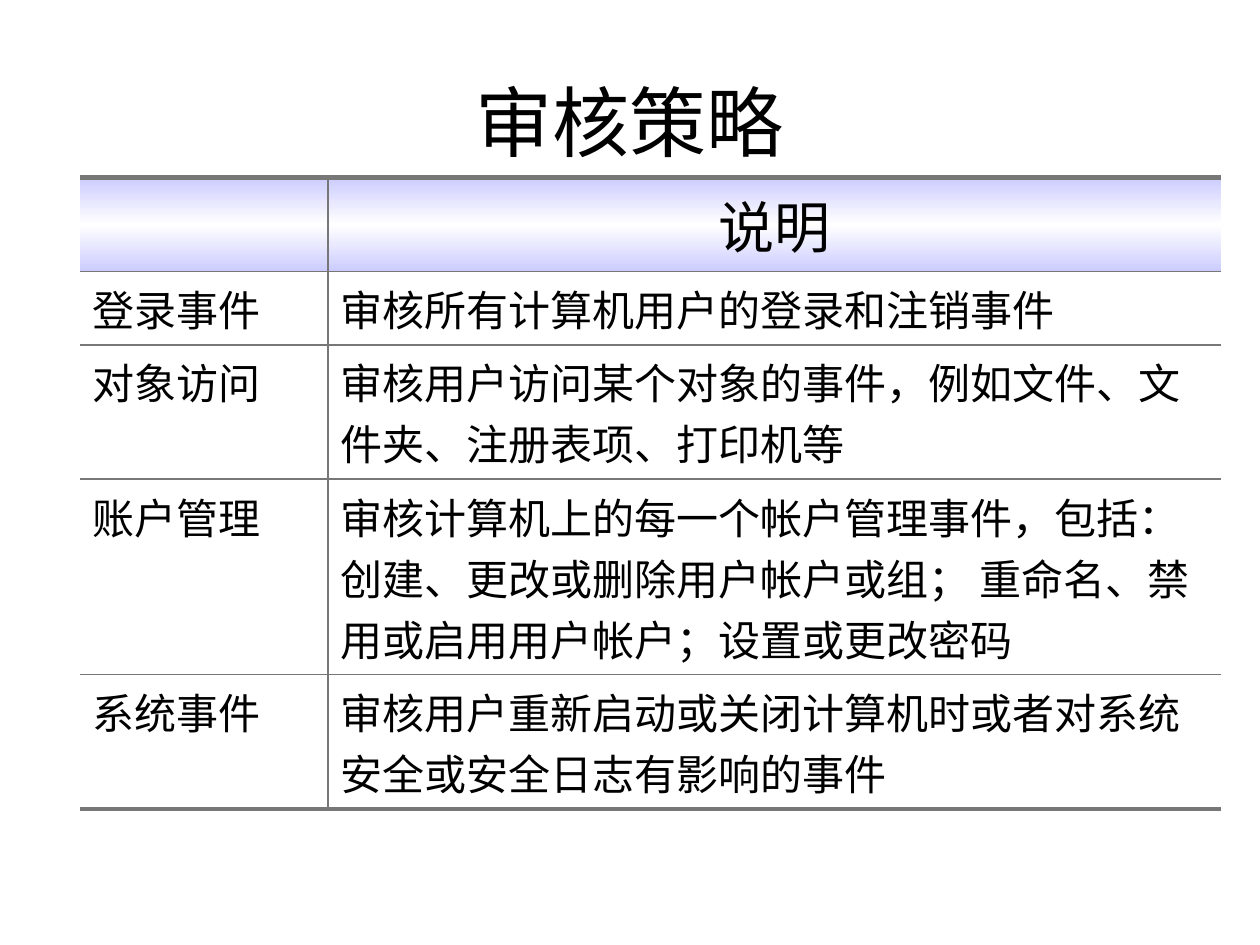
"""Build the audit policy slide: a title above a ruled table."""
from dataclasses import dataclass

from lxml import etree
from pptx import Presentation
from pptx.dml.color import RGBColor
from pptx.enum.text import MSO_ANCHOR, PP_ALIGN
from pptx.oxml.ns import qn
from pptx.util import Cm, Pt

CENTER, LEFT = PP_ALIGN.CENTER, PP_ALIGN.LEFT
MIDDLE = MSO_ANCHOR.MIDDLE
COLORS = {"text": "000000", "rule": "777777", "band": "CCCCFF", "white": "FFFFFF"}
COLUMN_WIDTHS = (5, 18)
HEADER_HEIGHT = 1.89
ROW_PADDING, LINE_HEIGHT = 0.25, 1.23
HANGING = 0.95


@dataclass
class Policy:
    name: str
    description: str
    lines: int = 1

    @property
    def height(self) -> float:
        """Give the row height in centimetres."""
        return ROW_PADDING + LINE_HEIGHT * self.lines


HEADER = Policy("", "说明")
POLICIES = [
    Policy("登录事件", "审核所有计算机用户的登录和注销事件"),
    Policy("对象访问", "审核用户访问某个对象的事件，例如文件、文件夹、注册表项、打印机等", 2),
    Policy("账户管理", "审核计算机上的每一个帐户管理事件，包括：创建、更改或删除用户帐户或组； "
           "重命名、禁用或启用用户帐户；设置或更改密码", 3),
    Policy("系统事件", "审核用户重新启动或关闭计算机时或者对系统安全或安全日志有影响的事件", 2),
]


def write(tf, text: str, *, size: int, font: str = "Arial", align=LEFT,
          hanging: bool = False, before: int = 0) -> None:
    """Write one formatted paragraph; before is a percentage of the line."""
    p = tf.paragraphs[0]
    p.alignment = align
    ppr = p._p.get_or_add_pPr()
    if hanging:
        ppr.set("marL", str(Cm(HANGING)))
        ppr.set("indent", str(-Cm(HANGING)))
    if before:
        spacing = etree.SubElement(ppr, qn("a:spcBef"))
        etree.SubElement(spacing, qn("a:spcPct"), val=str(before * 1000))
    p.font.size = Pt(size)
    if text:
        r = p.add_run()
        r.text = text
        r.font.size = Pt(size)
        r.font.name = font
        r.font.color.rgb = RGBColor.from_string(COLORS["text"])


def add_color(parent, key: str) -> None:
    """Add an RGB colour element."""
    etree.SubElement(parent, qn("a:srgbClr"), val=COLORS[key])


def set_borders(cell, widths: dict[str, int]) -> None:
    """Rule each side with its width in points, or leave it open at zero."""
    tcpr = cell._tc.get_or_add_tcPr()
    for side in "LRTB":
        width = widths[side]
        ln = etree.SubElement(tcpr, qn(f"a:ln{side}"), w=str(Pt(width)))
        if width:
            add_color(etree.SubElement(ln, qn("a:solidFill")), "rule")
        else:
            etree.SubElement(ln, qn("a:noFill"))


def fill_band(cell) -> None:
    """Fill a cell with a vertical gradient that is white in the middle."""
    grad = etree.SubElement(cell._tc.get_or_add_tcPr(), qn("a:gradFill"), rotWithShape="1")
    stops = etree.SubElement(grad, qn("a:gsLst"))
    for percent, key in ((0, "band"), (50, "white"), (100, "band")):
        add_color(etree.SubElement(stops, qn("a:gs"), pos=str(percent * 1000)), key)
    etree.SubElement(grad, qn("a:lin"), ang="5400000", scaled="1")


def add_policy_table(s, rows: list[Policy]) -> None:
    """Add the table with its header band and rules."""
    heights = [HEADER_HEIGHT, *(row.height for row in rows[1:])]
    frame = s.shapes.add_table(len(rows), len(COLUMN_WIDTHS), Cm(1.61), Cm(3.58),
                               Cm(sum(COLUMN_WIDTHS)), Cm(sum(heights)))
    table = frame.table
    table.first_row = table.horz_banding = False
    for column, width in zip(table.columns, COLUMN_WIDTHS):
        column.width = Cm(width)
    last = len(rows) - 1
    for i, row in enumerate(rows):
        table.rows[i].height = Cm(heights[i])
        for j, text in enumerate((row.name, row.description)):
            cell = table.cell(i, j)
            write(cell.text_frame, text, size=24 if i else 32, align=LEFT if i else CENTER,
                  hanging=j == 0 or row.lines == 1, before=20)
            set_borders(cell, {"L": j, "R": 1 - j, "T": 1 if i else 3,
                               "B": 3 if i == last else 1})
            if i:
                cell.fill.background()
            else:
                fill_band(cell)


def main() -> None:
    """Create and save the slide."""
    prs = Presentation()
    prs.slide_width, prs.slide_height = Cm(25.4), Cm(19.05)
    s = prs.slides.add_slide(prs.slide_layouts[6])
    title = s.shapes.add_textbox(Cm(1.27), Cm(0.84), Cm(22.86), Cm(3.18))
    tf = title.text_frame
    tf.word_wrap = True
    tf.vertical_anchor = MIDDLE
    write(tf, "审核策略", size=44, font="Calibri", align=CENTER)
    add_policy_table(s, [HEADER, *POLICIES])
    prs.save("out.pptx")


if __name__ == "__main__":
    main()
